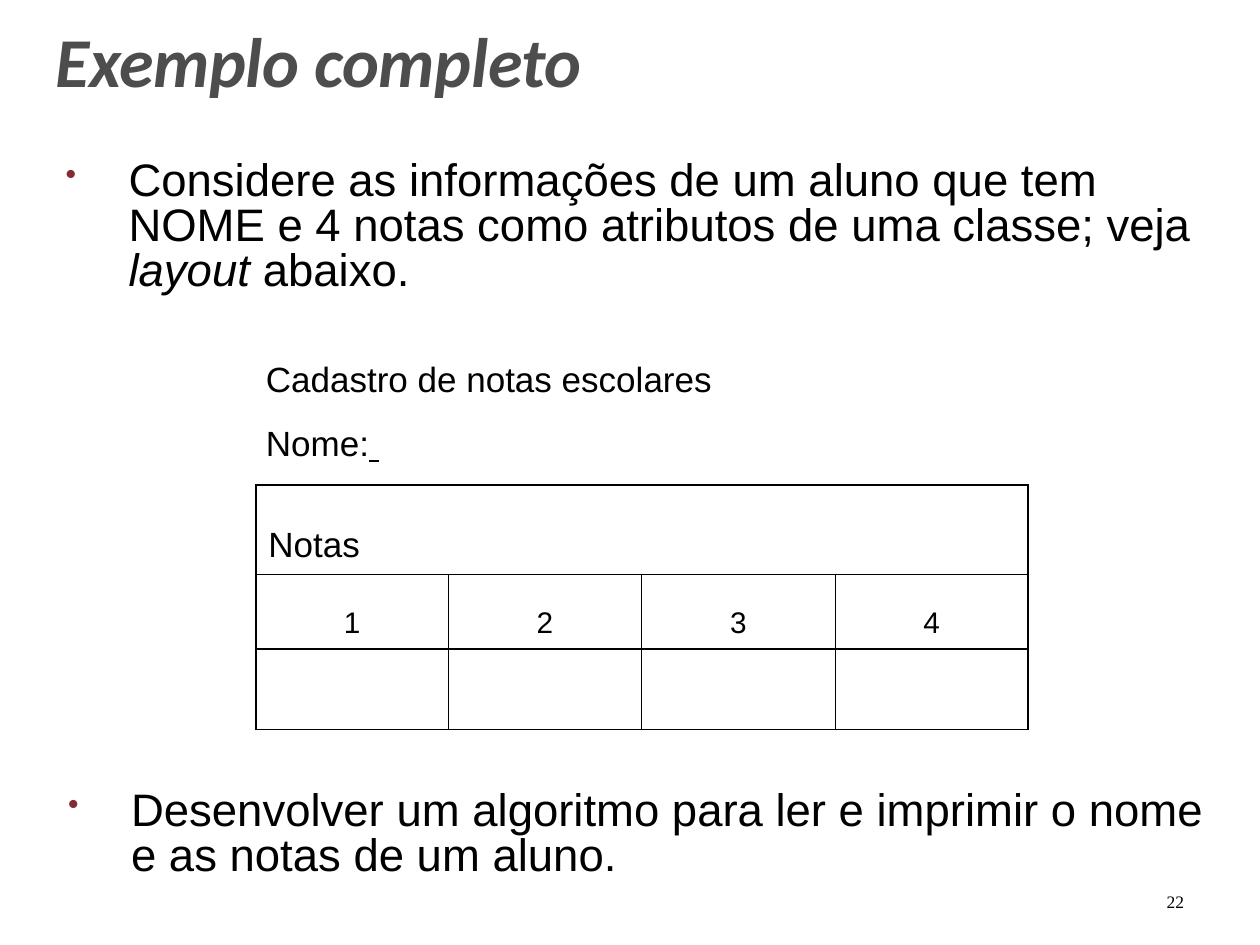
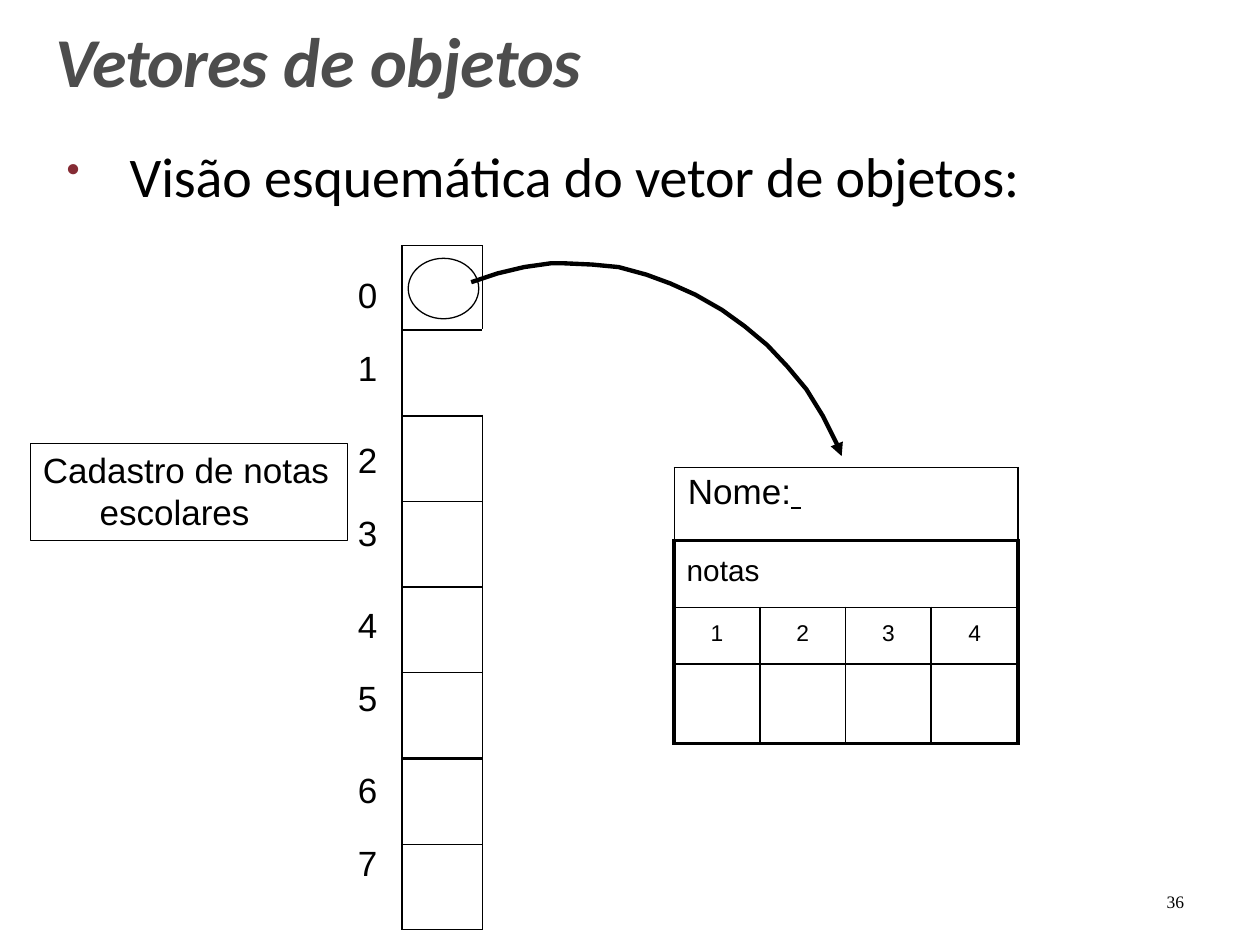
from lxml import etree
from pptx import Presentation
from pptx import util as u
from pptx.dml.color import RGBColor
from pptx.enum import shapes, text
from pptx.oxml.ns import qn

COLORS = {"ink": "000000", "title": "4D4D4D", "bullet": "852B34"}
INK = RGBColor.from_string(COLORS["ink"])
TITLE = {"size": 40, "font": "Calibri", "color": "title", "bold": True, "italic": True, "left": 0.01}
PAGE = {"size": 10, "font": "Times New Roman", "left": 0.03, "spacing": u.Pt(11.9)}
TOPIC = {"size": 26, "left": 0.52, "hang": -0.5, "spacing": 0.83, "bullet": 69000}


def write(block, top, paragraphs):
    frame = block.text_frame
    margins = block if hasattr(block, "margin_top") else frame
    margins.margin_left = margins.margin_right = margins.margin_bottom = 0
    margins.margin_top = u.Inches(top)
    frame.word_wrap = True
    for number, (runs, look) in enumerate(paragraphs):
        para = frame.add_paragraph() if number else frame.paragraphs[0]
        props = para._p.get_or_add_pPr()
        props.set("marL", str(u.Inches(look.get("left", 0))))
        props.set("indent", str(u.Inches(look.get("hang", 0))))
        if "bullet" in look:
            tint = etree.SubElement(props, qn("a:buClr"))
            etree.SubElement(tint, qn("a:srgbClr"), val=COLORS["bullet"])
            etree.SubElement(props, qn("a:buSzPct"), val=str(look["bullet"]))
            etree.SubElement(props, qn("a:buChar"), char="•")
        if "tab" in look:
            stops = etree.SubElement(props, qn("a:tabLst"))
            etree.SubElement(stops, qn("a:tab"), pos=str(u.Inches(look["tab"])), algn="l")
        para.alignment = look.get("align", text.PP_ALIGN.LEFT)
        if "before" in look:
            para.space_before = u.Pt(look["before"])
        if "spacing" in look:
            para.line_spacing = look["spacing"]
        for words, *extra in runs:
            style = {**look, **(extra[0] if extra else {})}
            run = para.add_run()
            run.text = words
            run.font.size = u.Pt(style["size"])
            run.font.name = style.get("font", "Arial")
            run.font.bold = style.get("bold", False)
            run.font.italic = style.get("italic", False)
            run.font.underline = style.get("underline", False)
            run.font.color.rgb = RGBColor.from_string(COLORS[style.get("color", "ink")])
            if "track" in style:
                run._r.get_or_add_rPr().set("spc", str(style["track"]))


def add_grid(slide, left, top, widths, heights, rules, sides, merged=0):
    frame = slide.shapes.add_table(len(heights), len(widths), u.Inches(left), u.Inches(top),
                                   u.Inches(sum(widths)), u.Inches(sum(heights)))
    table = frame.table
    table.first_row = table.horz_banding = False
    for column, width in zip(table.columns, widths):
        column.width = u.Inches(width)
    last = len(widths) - 1
    for r, height in enumerate(heights):
        table.rows[r].height = u.Inches(height)
        whole = r < merged
        if whole:
            table.cell(r, 0).merge(table.cell(r, last))
        for c in range(last + 1):
            cell = table.cell(r, c)
            cell.margin_left = cell.margin_right = cell.margin_top = cell.margin_bottom = 0
            inner = 0 if whole else 1
            edges = {
                "a:lnL": sides[r][0] if c == 0 else inner,
                "a:lnR": sides[r][1] if c == last or (whole and c == 0) else inner,
                "a:lnT": rules[r],
                "a:lnB": rules[r + 1],
            }
            for tag, weight in edges.items():
                if weight:
                    line = etree.SubElement(cell._tc.get_or_add_tcPr(), qn(tag), w=str(u.Pt(weight)))
                    solid = etree.SubElement(line, qn("a:solidFill"))
                    etree.SubElement(solid, qn("a:srgbClr"), val=COLORS["ink"])
            cell.fill.background()
    return table


deck = Presentation()
deck.slide_width, deck.slide_height = u.Inches(10), u.Inches(7.5)

headings = [
    ([("Exemplo completo", {"track": -20})], "22"),
    ([("Vetores ", {"track": -50}), ("de ", {"track": -10}), ("objetos", {"track": -20})], "36"),
]
slides = []
for heading, page in headings:
    slide = deck.slides.add_slide(deck.slide_layouts[6])
    slides.append(slide)
    parts = [
        ((0.43, 0.13, 4.27, 0.69), 0.01, heading, TITLE),
        ((9.23, 7.07, 0.2, 0.18), 0, [(page,)], PAGE),
    ]
    for place, top, runs, look in parts:
        write(slide.shapes.add_textbox(*map(u.Inches, place)), top, [(runs, look)])
example, vectors = slides

brief = example.shapes.add_textbox(*map(u.Inches, (0.5, 1.17, 8.99, 2.46)))
write(brief, 0.1, [
    ([("Considere as informações de um aluno que tem NOME e 4 notas como "
       "atributos de uma classe; veja ",), ("layout ", {"italic": True}), ("abaixo.",)], TOPIC),
    ([("Cadastro de notas escolares",)], {"size": 20, "left": 1.61, "before": 35}),
    ([("Nome:",), (" \t", {"underline": True})],
     {"size": 20, "left": 1.61, "before": 13, "tab": 6.37}),
])

task = example.shapes.add_textbox(*map(u.Inches, (0.52, 6.17, 9.05, 0.81)))
write(task, 0.1, [([("Desenvolver um algoritmo para ler e imprimir o nome "
                     "e as notas de um aluno.",)], TOPIC)])

grades = add_grid(example, 2.03, 3.85, [1.53, 1.53, 1.54, 1.53], [0.71, 0.59, 0.64],
                  [1] * 4, [(1, 1)] * 3, merged=1)
write(grades.cell(0, 0), 0.32, [([("Notas",)], {"size": 20, "left": 0.1})])

lead = vectors.shapes.add_textbox(*map(u.Inches, (0.52, 1.11, 7.64, 0.56)))
write(lead, 0.01, [([("Visão esquemática do vetor de objetos:",)],
                    {"size": 32, "font": "Calibri", "left": 0.51, "hang": -0.5,
                     "bullet": 70000, "track": -10})])

register = vectors.shapes.add_shape(shapes.MSO_SHAPE.RECTANGLE,
                                    *map(u.Inches, (0.24, 3.52, 2.52, 0.77)))
register.text_frame.vertical_anchor = text.MSO_ANCHOR.TOP
write(register, 0.04, [([("Cadastro de notas escolares",)],
                        {"size": 20, "left": 0.55, "hang": -0.45})])

student = add_grid(vectors, 5.35, 3.71, [0.68, 0.68, 0.68, 0.69], [0.58, 0.53, 0.45, 0.63],
                   [0.75, 2.25, 1, 1, 2.25], [(0.75, 0.75)] + [(2.25, 2.25)] * 3, merged=2)
write(student.cell(0, 0), 0.04, [([("Nome:",), (" \t", {"underline": True})],
                                  {"size": 20, "left": 0.11, "tab": 1.93})])
write(student.cell(1, 0), 0.11, [([("notas",)], {"size": 17, "left": 0.1})])

for table, row, top, size in [(grades, 1, 0.25, 17), (student, 2, 0.11, 13)]:
    for c in range(4):
        write(table.cell(row, c), top,
              [([(str(c + 1),)], {"size": size, "align": text.PP_ALIGN.CENTER})])

vector_sides = [(0.75, 0 if r == 1 else 0.75) for r in range(8)]
add_grid(vectors, 3.19, 1.95, [0.64], [0.67] + [0.68] * 7,
         [0.75, 1.5, 1.5, 0.75, 1.5, 0.75, 1.5, 0.75, 0.75], vector_sides)

index_groups = [
    (2.16, 0.94, [("0", 0), ("1", 18)]),
    (3.47, 0.36, [("2", 0)]),
    (4.05, 0.36, [("3", 0)]),
    (4.78, 2.26, [("4", 0), ("5", 18), ("6", 28.2), ("7", 18)]),
]
for top, height, indices in index_groups:
    label = vectors.shapes.add_textbox(*map(u.Inches, (2.83, top, 0.18, height)))
    write(label, 0.01, [([(index,)], {"size": 20, "left": 0.01, "before": gap})
                        for index, gap in indices])

reference = vectors.shapes.add_shape(shapes.MSO_SHAPE.OVAL,
                                     *map(u.Inches, (3.24, 2.05, 0.56, 0.48)))

route = [(3.74, 2.24), (3.95, 2.17), (4.16, 2.12), (4.37, 2.09), (4.48, 2.09), (4.7, 2.1),
         (4.91, 2.12), (5.13, 2.18), (5.32, 2.25), (5.52, 2.34), (5.73, 2.46), (5.91, 2.59),
         (6.09, 2.74), (6.25, 2.91), (6.4, 3.09), (6.53, 3.3), (6.64, 3.52), (6.68, 3.62)]
steps = [(u.Inches(x), u.Inches(y)) for x, y in route]
outline = vectors.shapes.build_freeform(*steps[0])
outline.add_line_segments(steps[1:], close=False)
pointer = outline.convert_to_shape()

for figure, weight in [(register, 0.75), (reference, 0.75), (pointer, 2.5)]:
    figure.shadow.inherit = False
    figure.fill.background()
    figure.line.color.rgb = INK
    figure.line.width = u.Pt(weight)
etree.SubElement(pointer.line._get_or_add_ln(), qn("a:tailEnd"), type="triangle")

deck.save("out.pptx")
